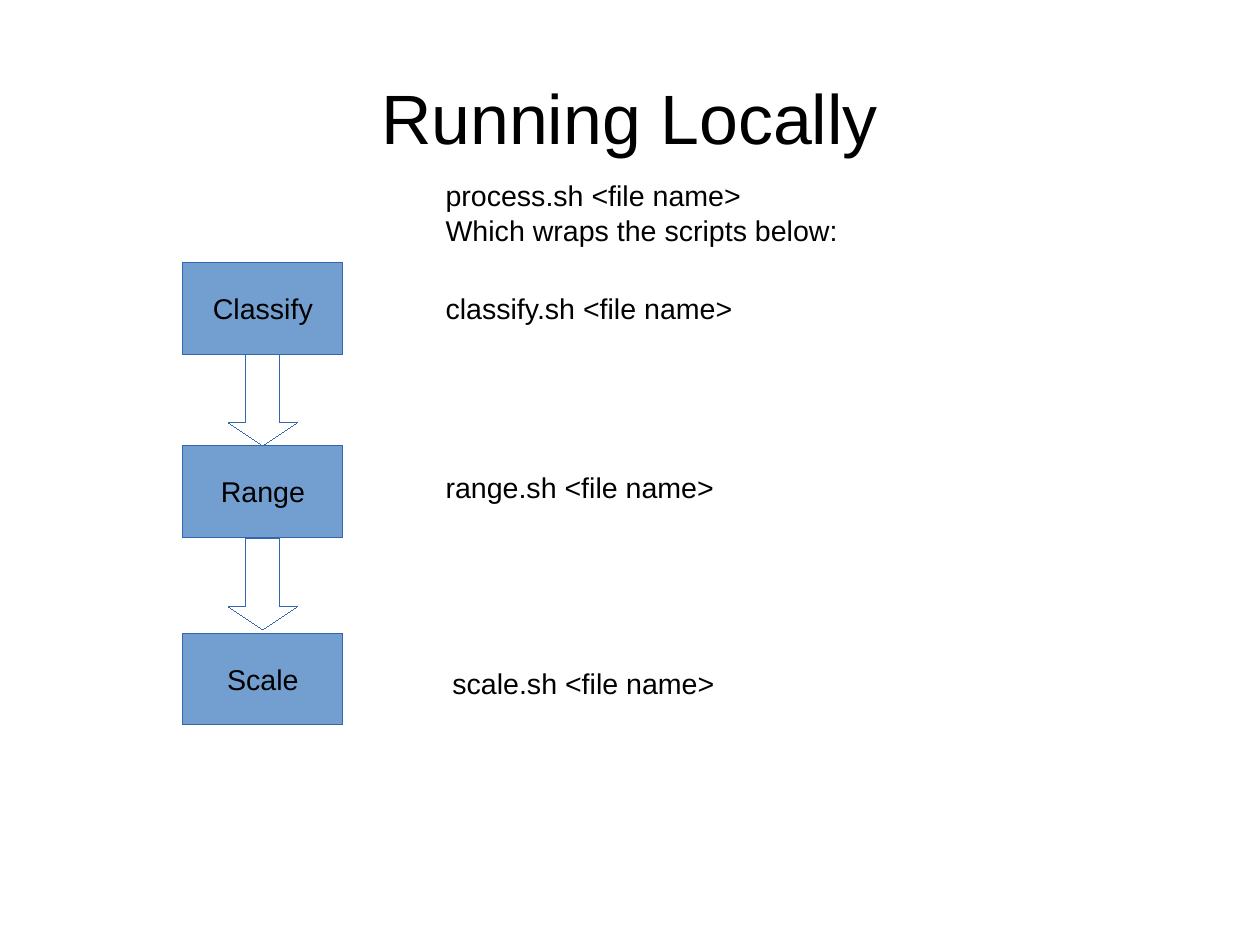
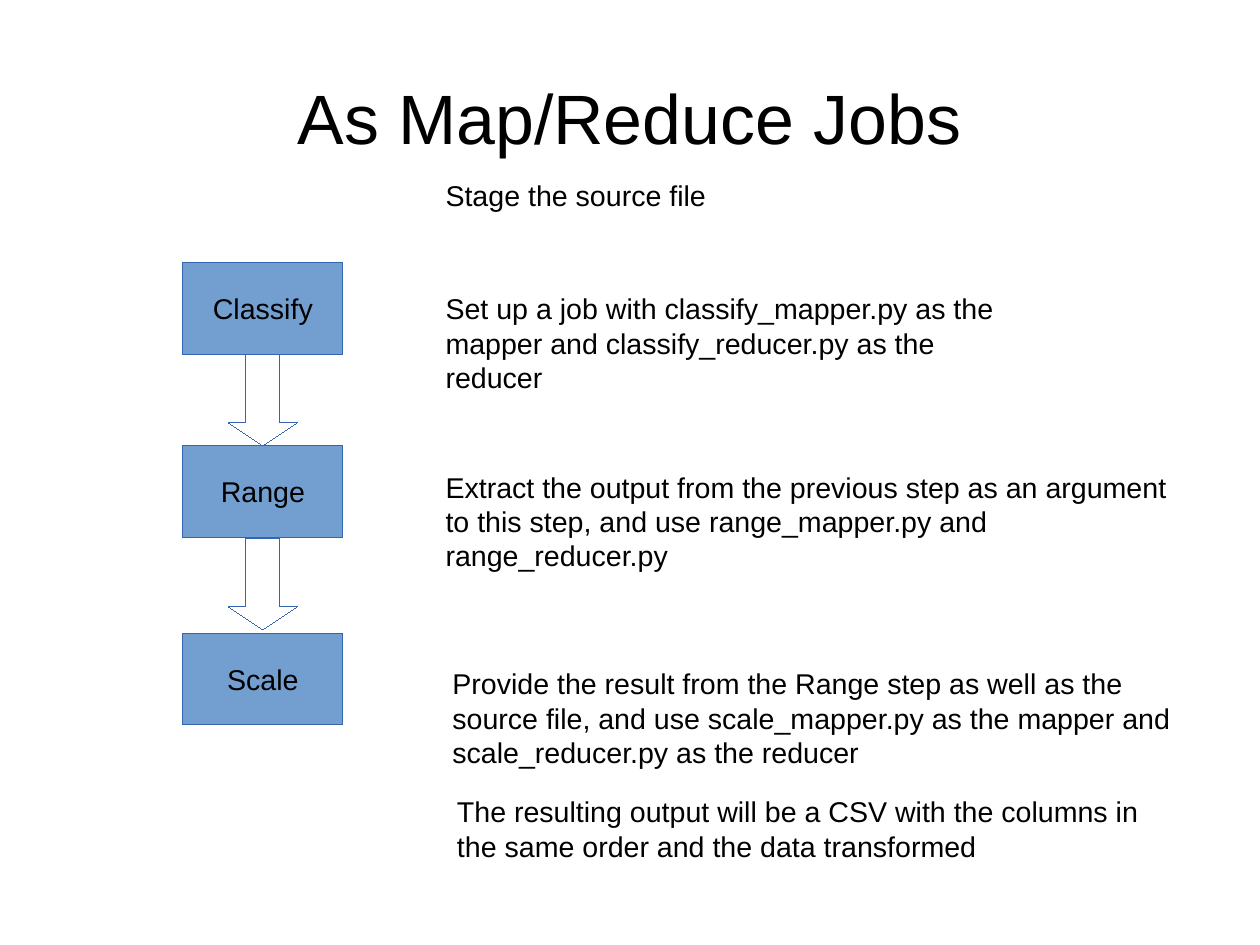
from pptx import Presentation
from pptx.dml.color import RGBColor
from pptx.enum import shapes, text
from pptx.util import Cm, Inches, Pt

BLACK = RGBColor(0x00, 0x00, 0x00)
WHITE = RGBColor(0xFF, 0xFF, 0xFF)
BLUE = RGBColor(0x72, 0x9F, 0xCF)
EDGE = RGBColor(0x34, 0x65, 0xAF)
FONT = "Arial"
HAIRLINE = Pt(0.01)  # a width of 0 would fall back to the theme's line

# Step name and top of its box
STEPS = [("Classify", 2.3), ("Range", 3.9), ("Scale", 5.54)]
BOX_LEFT, BOX_WIDTH, BOX_HEIGHT = 1.6, 1.4, 0.8
ARROW_TOPS = [3.1, 4.71]
ARROW_WIDTH, ARROW_HEIGHT = 0.6, 0.8

# Left and top of each note beside the flow
INTRO, CLASSIFY, RANGE, SCALE, RESULT = (
    (3.8, 1.51), (3.8, 2.5), (3.8, 4.06), (3.86, 5.78), (3.9, 6.9))

# Title, then notes: place, width, lines high, paragraphs
SLIDES = [
    ("Running Locally", [
        (CLASSIFY, 5.1, 1, ["classify.sh <file name>"]),
        (RANGE, 6.7, 1, ["range.sh <file name>"]),
        (SCALE, 5.1, 1, ["scale.sh <file name>"]),
        (INTRO, 5.1, 2, ["process.sh <file name>",
                         "Which wraps the scripts below:"]),
    ]),
    ("As Map/Reduce Jobs", [
        (CLASSIFY, 5.1, 3, [
            "Set up a job with classify_mapper.py as the mapper and "
            "classify_reducer.py as the reducer"]),
        (RANGE, 6.7, 3, [
            "Extract the output from the previous step as an argument to "
            "this step, and use range_mapper.py and range_reducer.py"]),
        (SCALE, 6.54, 3, [
            "Provide the result from the Range step as well as the source "
            "file, and use scale_mapper.py as the mapper and "
            "scale_reducer.py as the reducer"]),
        (INTRO, 5.1, 1, ["Stage the source file"]),
        (RESULT, 6.2, 2, [
            "The resulting output will be a CSV with the columns in the "
            "same order and the data transformed"]),
    ]),
]


def write(frame, lines, size=18, align=text.PP_ALIGN.LEFT):
    frame.text = "\n".join(lines)
    for para in frame.paragraphs:
        para.alignment = align
        para.font.name = FONT
        para.font.size = Pt(size)
        para.font.color.rgb = BLACK


def add_title(slide, words):
    title = slide.shapes.title
    title.left, title.top = Inches(0.55), Inches(0.33)
    title.width, title.height = Inches(9.92), Inches(1.38)
    frame = title.text_frame
    frame.margin_left = frame.margin_right = 0
    frame.margin_top = frame.margin_bottom = 0
    frame.vertical_anchor = text.MSO_ANCHOR.MIDDLE
    write(frame, [words], 44, text.PP_ALIGN.CENTER)


def add_block(slide, kind, left, top, width, height, fill):
    block = slide.shapes.add_shape(
        kind, Inches(left), Inches(top), Inches(width), Inches(height))
    block.shadow.inherit = False
    block.fill.solid()
    block.fill.fore_color.rgb = fill
    block.line.color.rgb = EDGE
    block.line.width = HAIRLINE
    return block


def add_flow(slide):
    """Draw the step boxes and the arrows between them."""
    for name, top in STEPS:
        box = add_block(slide, shapes.MSO_SHAPE.RECTANGLE,
                        BOX_LEFT, top, BOX_WIDTH, BOX_HEIGHT, BLUE)
        frame = box.text_frame
        frame.word_wrap = False
        frame.vertical_anchor = text.MSO_ANCHOR.MIDDLE
        write(frame, [name], align=text.PP_ALIGN.CENTER)
    left = BOX_LEFT + (BOX_WIDTH - ARROW_WIDTH) / 2
    for top in ARROW_TOPS:
        arrow = add_block(slide, shapes.MSO_SHAPE.DOWN_ARROW, left, top,
                          ARROW_WIDTH, ARROW_HEIGHT, WHITE)
        arrow.adjustments[0] = 0.5
        arrow.adjustments[1] = 1 / 3


def add_note(slide, place, width, rows, lines):
    left, top = place
    note = slide.shapes.add_textbox(Inches(left), Inches(top), Inches(width),
                                    Inches(0.1 + 0.28 * rows))
    note.text_frame.word_wrap = True
    write(note.text_frame, lines)


def main():
    deck = Presentation()
    deck.slide_width, deck.slide_height = Cm(28), Cm(21)
    layout = deck.slide_layouts.get_by_name("Title Only")
    for title, notes in SLIDES:
        slide = deck.slides.add_slide(layout)
        add_title(slide, title)
        add_flow(slide)
        for note in notes:
            add_note(slide, *note)
    deck.save("out.pptx")


if __name__ == "__main__":
    main()
